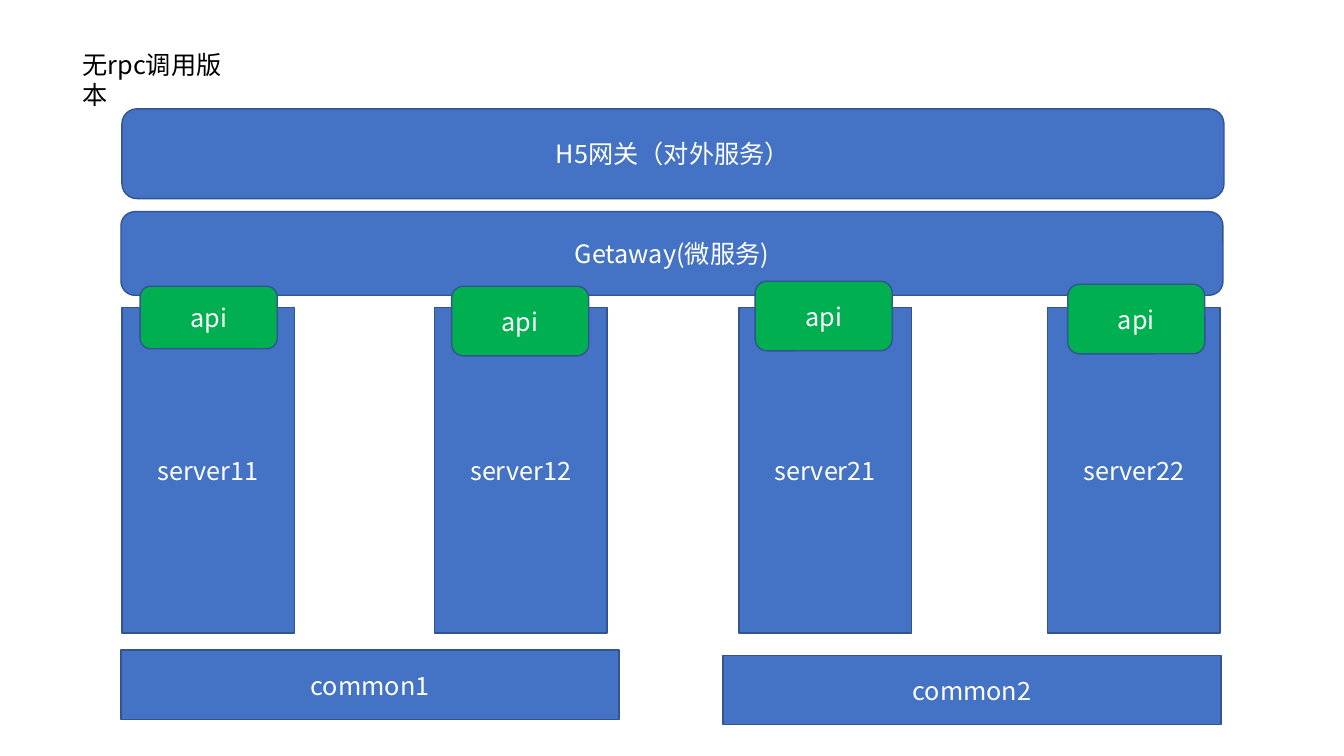
from lxml import etree
from pptx import Presentation
from pptx.dml.color import RGBColor
from pptx.enum import shapes, text
from pptx.oxml.ns import qn
from pptx.util import Inches, Pt

FONT = "Noto Sans CJK SC"
BLUE = RGBColor(0x44, 0x72, 0xC4)
GREEN = RGBColor(0x00, 0xB0, 0x50)
EDGE = RGBColor(0x32, 0x54, 0x91)
WHITE = RGBColor(0xFF, 0xFF, 0xFF)
BLACK = RGBColor(0x00, 0x00, 0x00)

RECT = shapes.MSO_SHAPE.RECTANGLE
ROUND = shapes.MSO_SHAPE.ROUNDED_RECTANGLE

HEADING = "无rpc调用版本"
GATEWAYS = [
    ("Getaway(微服务)", 1.2, 2.1, 0.83),
    ("H5网关（对外服务）", 1.21, 1.08, 0.89),
]
SERVERS = [
    ("server11", 1.21),
    ("server12", 4.31),
    ("server21", 7.33),
    ("server22", 10.39),
]
COMMONS = [("common1", 1.2, 6.45), ("common2", 7.17, 6.5)]
APIS = [
    (1.39, 2.84, 0.62),
    (4.48, 2.84, 0.69),
    (7.49, 2.79, 0.69),
    (10.59, 2.82, 0.69),
]

GATEWAY_WIDTH = 10.93
SERVER_TOP, SERVER_WIDTH, SERVER_HEIGHT = 3.05, 1.71, 3.23
COMMON_WIDTH, COMMON_HEIGHT = 4.94, 0.69
API_WIDTH = 1.36


def write(frame, words, color):
    run = frame.paragraphs[0].add_run()
    run.text = words
    run.font.size = Pt(18)
    run.font.name = FONT
    run.font.color.rgb = color
    east_asian = etree.SubElement(run.font._element, qn("a:ea"))
    east_asian.set("typeface", FONT)


def add_block(slide, outline, words, left, top, width, height, fill=BLUE):
    block = slide.shapes.add_shape(
        outline, Inches(left), Inches(top), Inches(width), Inches(height))
    block.shadow.inherit = False
    block.fill.solid()
    block.fill.fore_color.rgb = fill
    block.line.color.rgb = EDGE
    block.line.width = Pt(1)
    frame = block.text_frame
    frame.word_wrap = True
    frame.vertical_anchor = text.MSO_ANCHOR.MIDDLE
    frame.paragraphs[0].alignment = text.PP_ALIGN.CENTER
    write(frame, words, WHITE)


def main():
    deck = Presentation()
    deck.slide_width, deck.slide_height = Inches(13.33), Inches(7.5)
    slide = deck.slides.add_slide(deck.slide_layouts[6])

    for words, left, top, height in GATEWAYS:
        add_block(slide, ROUND, words, left, top, GATEWAY_WIDTH, height)
    for words, left in SERVERS:
        add_block(slide, RECT, words, left, SERVER_TOP, SERVER_WIDTH, SERVER_HEIGHT)
    for words, left, top in COMMONS:
        add_block(slide, RECT, words, left, top, COMMON_WIDTH, COMMON_HEIGHT)
    for left, top, height in APIS:
        add_block(slide, ROUND, "api", left, top, API_WIDTH, height, GREEN)

    heading = slide.shapes.add_textbox(
        Inches(0.72), Inches(0.44), Inches(1.81), Inches(0.4))
    heading.text_frame.word_wrap = True
    write(heading.text_frame, HEADING, BLACK)

    deck.save("out.pptx")


if __name__ == "__main__":
    main()
